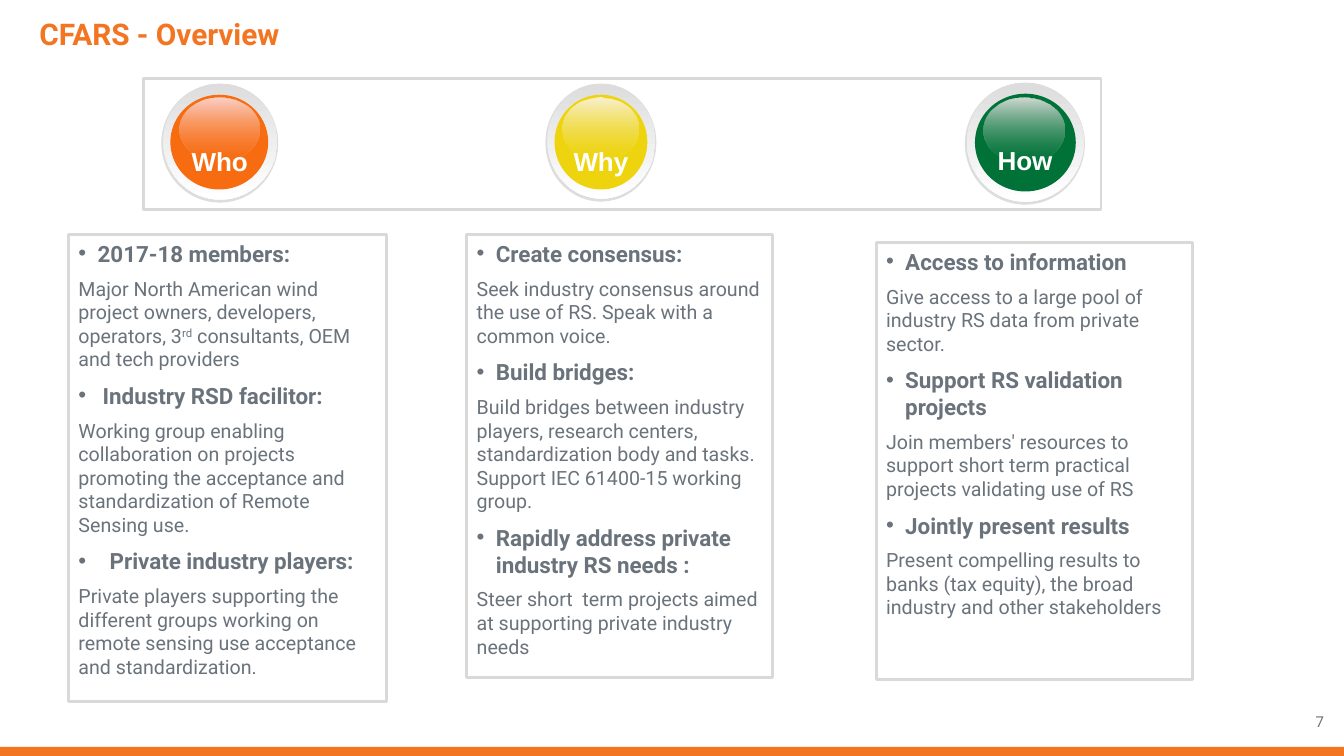
from lxml.etree import SubElement
from pptx import Presentation
from pptx.dml.color import RGBColor
from pptx.enum.shapes import MSO_SHAPE
from pptx.enum.text import MSO_ANCHOR, PP_ALIGN
from pptx.oxml.ns import qn
from pptx.util import Pt

PX = 9144  # 100 px to the inch
HUES = {
    "orange": "F37421", "gray": "6A737B", "edge": "D9D9D9",
    "rim": "DDDDDD", "white": "FFFFFF",
}

# name, box, ball colour, shine colour
BADGES = [
    ("Who", (160, 83, 116, 118), "F76C11", "FCD1C9"),
    ("Why", (541, 83, 110, 117), "EED40E", "F9F1D3"),
    ("How", (957, 82, 119, 121), "007237", "D2DAD4"),
]

# box, then rows of heading, indent, body; ^ marks the bounds of raised text
PANELS = [
    ((68, 233, 315, 463), [
        ("2017-18 members:", 19,
         "Major North American wind project owners, developers, operators, "
         "3^rd^ consultants, OEM and tech providers"),
        ("Industry RSD facilitor:", 24,
         "Working group enabling collaboration on projects promoting the "
         "acceptance and standardization of Remote Sensing use."),
        ("Private industry players:", 31,
         "Private players supporting the different groups working on remote "
         "sensing use acceptance and standardization."),
    ]),
    ((463, 233, 303, 439), [
        ("Create consensus:", 19,
         "Seek industry consensus around the use of RS. Speak with a common "
         "voice."),
        ("Build bridges:", 19,
         "Build bridges between industry players, research centers, "
         "standardization body and tasks. Support IEC 61400-15 working group."),
        ("Rapidly address private industry RS needs :", 19,
         "Steer short  term projects aimed at supporting private industry "
         "needs"),
    ]),
    ((869, 241, 314, 433), [
        ("Access to information", 19,
         "Give access to a large pool of industry RS data from private "
         "sector."),
        ("Support RS validation projects", 19,
         "Join members' resources to support short term practical projects "
         "validating use of RS"),
        ("Jointly present results", 19,
         "Present compelling results to banks (tax equity), the broad industry "
         "and other stakeholders"),
    ]),
]


def tint(name):
    return RGBColor.from_string(HUES.get(name, name))


class Deck:
    def __init__(self, wide, high):
        self.prs = Presentation()
        self.prs.slide_width, self.prs.slide_height = wide * PX, high * PX
        self.slide = self.prs.slides.add_slide(self.prs.slide_layouts[6])
        self.shapes = self.slide.shapes

    def shape(self, kind, box, fill=None, line=None, home=None):
        item = (home or self.shapes).add_shape(kind, *[round(n) * PX for n in box])
        item.shadow.inherit = False
        if fill:
            item.fill.solid()
            item.fill.fore_color.rgb = tint(fill)
        else:
            item.fill.background()
        if line:
            item.line.color.rgb = tint(line)
            item.line.width = Pt(2)
        else:
            item.line.fill.background()
        return item

    def fade(self, item, top, end, alpha=100):
        """Fill from top to end colour, the end at alpha percent."""
        item.fill.gradient()
        item.fill.gradient_angle = 270
        for stop, hue, place in zip(item.fill.gradient_stops, (top, end), (0, 1)):
            stop.color.rgb = tint(hue)
            stop.position = place
        if alpha < 100:
            last = list(item._element.iter(qn("a:srgbClr")))[-1]
            SubElement(last, qn("a:alpha")).set("val", str(alpha * 1000))

    def style(self, para, size, hue, bold=False, face="Roboto", align=PP_ALIGN.LEFT):
        para.alignment = align
        font = para.font
        font.name, font.size, font.bold = face, Pt(size), bold
        font.color.rgb = tint(hue)

    def run(self, para, text, base=0):
        """Add a run, its baseline moved by base percent."""
        run = para.add_run()
        run.text = text
        if base:
            run._r.get_or_add_rPr().set("baseline", str(base * 1000))

    def label(self, box, text, size, hue, home=None, base=0, left=10, **look):
        item = (home or self.shapes).add_textbox(*[round(n) * PX for n in box])
        frame = item.text_frame
        frame.word_wrap = True
        frame.margin_left = left * PX
        para = frame.paragraphs[0]
        self.run(para, text, base)
        self.style(para, size, hue, **look)

    def badge(self, name, box, hue, shine):
        home = self.shapes.add_group_shape().shapes
        x, y, w, h = box

        def disc(dx, dy, dw, dh, fill):
            part = (x + dx * w, y + dy * h, dw * w, dh * h)
            return self.shape(MSO_SHAPE.OVAL, part, fill, home=home)

        disc(0, 0, 1, 1, "rim")
        self.fade(disc(0.015, 0, 0.975, 0.975, "rim"), "rim", "white")
        disc(0.08, 0.09, 0.84, 0.8, hue)
        self.fade(disc(0.155, 0.12, 0.68, 0.525, hue), shine, hue, 37)
        self.label((x, y + 27, w, 46), name, 32, "white", home, -25,
                   bold=True, face="Arial", align=PP_ALIGN.CENTER)

    def panel(self, box, rows):
        frame = self.shape(MSO_SHAPE.RECTANGLE, box, line="edge").text_frame
        frame.word_wrap = True
        frame.vertical_anchor = MSO_ANCHOR.TOP
        for i, (head, indent, body) in enumerate(rows):
            para = frame.add_paragraph() if i else frame.paragraphs[0]
            if i:
                para.space_before = Pt(8)
            props = para._p.get_or_add_pPr()
            props.set("marL", str(indent * PX))
            props.set("indent", str(-indent * PX))
            SubElement(props, qn("a:buFont")).set("typeface", "Arial")
            SubElement(props, qn("a:buChar")).set("char", "•")
            self.run(para, head)
            self.style(para, 16, "gray", bold=True)
            para = frame.add_paragraph()
            para.space_before = Pt(7)
            for n, part in enumerate(body.split("^")):
                self.run(para, part, 30 * (n % 2))
            self.style(para, 14, "gray")


def main():
    deck = Deck(1333, 750)
    deck.shape(MSO_SHAPE.RECTANGLE, (0, 741, 1333, 9), "orange")
    deck.label((0, 11, 1192, 40), "CFARS - Overview", 21.3, "orange", left=39, bold=True)
    deck.label((1267, 702, 56, 40), "7", 10.7, "gray", align=PP_ALIGN.RIGHT)
    for panel in PANELS:
        deck.panel(*panel)
    for badge in BADGES:
        deck.badge(*badge)
    deck.shape(MSO_SHAPE.RECTANGLE, (142, 78, 950, 130), line="edge")
    deck.prs.save("out.pptx")


if __name__ == "__main__":
    main()
